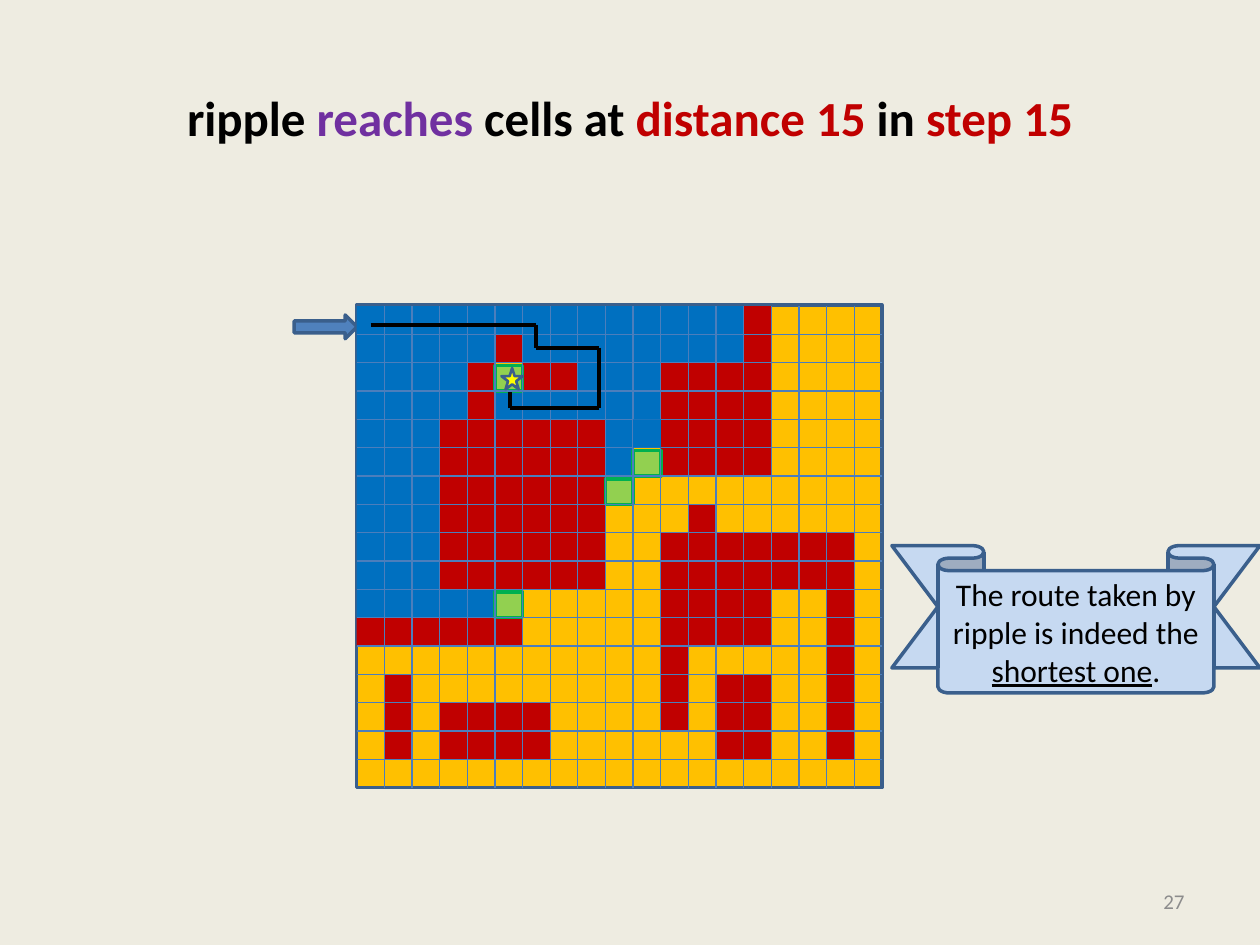
from itertools import pairwise

from lxml import etree
from pptx import Presentation
from pptx import util as u
from pptx.dml.color import RGBColor
from pptx.enum import shapes, text
from pptx.oxml.ns import qn

BLACK, RED, PURPLE = "000000", "C00000", "7030A0"
BLUE, AMBER, OUTLINE = "0070C0", "FFC000", "3A5F8C"
PRESET = shapes.MSO_SHAPE

# Board geometry in cm: 19 columns by 17 rows
LEFT, TOP, WIDTH, HEIGHT = 7.19, 6.17, 10.59, 9.71
COLS, ROWS = 19, 17
CELL_W, CELL_H = WIDTH / COLS, HEIGHT / ROWS

# Blocks of cells: column, row, columns wide, rows high
OBSTACLES = [
    (11, 2, 4, 4), (11, 8, 4, 4), (3, 14, 4, 2), (13, 13, 2, 3), (6, 2, 2, 1),
    (0, 11, 6, 1), (1, 13, 1, 3), (11, 12, 1, 3), (4, 2, 1, 3), (5, 1, 1, 1),
    (3, 4, 6, 6), (14, 0, 1, 3), (14, 8, 4, 2), (17, 10, 1, 6), (12, 7, 1, 1),
]
RIPPLE = [
    (0, 0, 3, 6), (0, 2, 1, 1), (2, 0, 1, 1), (0, 10, 5, 1), (3, 0, 1, 4),
    (0, 5.5, 1, 2.5), (4, 0, 10, 1), (4, 1, 1, 1), (1, 6, 1, 1), (6, 1, 1, 1),
    (2, 6, 1, 1), (1, 7, 1, 1), (0, 7.5, 1, 2.5), (7, 1, 1, 1), (8, 1, 6, 1),
    (2, 7, 1, 2), (1, 8, 2, 2), (8, 2, 3, 1), (5, 3, 6, 1), (9, 4, 1, 2),
]
LAST_RIPPLE = (10, 4, 1, 1)
FRONTIER = [(5, 10), (5, 2), (10, 5), (9, 6)]
ROUTE = [(7.47, 6.55), (10.8, 6.55), (10.8, 7.01), (12.07, 7.01),
         (12.07, 8.23), (10.29, 8.23), (10.29, 7.9)]


def color(value):
    return RGBColor.from_string(value)


class Deck:
    font = "Calibri"

    def __init__(self):
        self.prs = Presentation()
        self.prs.slide_width, self.prs.slide_height = u.Cm(25.4), u.Cm(19.05)
        self.slide = self.prs.slides.add_slide(self.prs.slide_layouts[6])
        background = self.slide.background.fill
        background.solid()
        background.fore_color.rgb = color("EEECE1")

    def group(self):
        return self.slide.shapes.add_group_shape()

    def shape(self, preset, box, fill, outline=None, weight=2, parent=None):
        shape = (parent or self.slide).shapes.add_shape(preset, *map(u.Cm, box))
        shape.shadow.inherit = False
        shape.fill.solid()
        shape.fill.fore_color.rgb = color(fill)
        if outline:
            shape.line.color.rgb = color(outline)
            shape.line.width = u.Pt(weight)
        else:
            shape.line.fill.background()
        return shape

    def block(self, cells, fill, outline=None, parent=None):
        col, row, wide, high = cells
        box = (LEFT + col * CELL_W, TOP + row * CELL_H, wide * CELL_W, high * CELL_H)
        return self.shape(PRESET.RECTANGLE, box, fill, outline, parent=parent)

    def line(self, start, end, stroke, weight, parent):
        line = parent.shapes.add_connector(
            shapes.MSO_CONNECTOR.STRAIGHT, *map(u.Cm, (*start, *end)))
        line.line.color.rgb = color(stroke)
        line.line.width = u.Pt(weight)
        etree.SubElement(line._element.spPr, qn("a:effectLst"))

    def label(self, frame, parts, size, align, bold=False):
        """Each part is (words, colour, underlined)."""
        frame.word_wrap = True
        frame.vertical_anchor = text.MSO_ANCHOR.MIDDLE
        paragraph = frame.paragraphs[0]
        paragraph.alignment = align
        for words, ink, underlined in parts:
            run = paragraph.add_run()
            run.text = words
            run.font.name, run.font.size = self.font, u.Pt(size)
            run.font.bold, run.font.underline = bold, underlined
            run.font.color.rgb = color(ink)

    def textbox(self, box, parts, size, align, bold=False):
        frame = self.slide.shapes.add_textbox(*map(u.Cm, box)).text_frame
        self.label(frame, parts, size, align, bold)


def main():
    deck = Deck()

    # Board, title and page number
    deck.shape(PRESET.RECTANGLE, (LEFT, 6.15, WIDTH, 9.73), AMBER, OUTLINE)
    title = [("ripple ", BLACK, False), ("reaches ", PURPLE, False),
             ("cells at ", BLACK, False), ("distance 15 ", RED, False),
             ("in ", BLACK, False), ("step 15", RED, False)]
    deck.textbox((1.27, 0.76, 22.86, 3.18), title, 28, text.PP_ALIGN.CENTER, True)
    deck.textbox((18.2, 17.65, 5.93, 1.02), [("27", "8C8C8C", False)], 12,
                 text.PP_ALIGN.RIGHT)

    # Entrance
    deck.shape(PRESET.RIGHT_ARROW, (5.93, 6.35, 1.27, 0.48), "4F81BD", OUTLINE)

    # Obstacles, flooded cells and the ripple's frontier
    obstacles = deck.group()
    for cells in OBSTACLES:
        deck.block(cells, RED, parent=obstacles)
    for cells in RIPPLE:
        deck.block(cells, BLUE)
    for col, row in FRONTIER:
        deck.block((col, row + 0.1, 1, 0.9), "92D050", "00B050")

    # Grid lines
    grid = deck.group()
    for col in range(1, COLS):
        x = LEFT + col * CELL_W
        deck.line((x, TOP), (x, TOP + HEIGHT), "4B7EBC", 0.75, grid)
    for row in range(1, ROWS):
        y = TOP + row * CELL_H
        deck.line((LEFT, y), (LEFT + WIDTH, y), "4B7EBC", 0.75, grid)
    deck.block(LAST_RIPPLE, BLUE)

    # Target and the route to it
    deck.shape(PRESET.STAR_5_POINT, (10.11, 7.42, 0.43, 0.43), "FFFF00", OUTLINE, 1.5)
    route = deck.group()
    for start, end in pairwise(ROUTE):
        deck.line(start, end, BLACK, 2.25, route)

    # Conclusion
    ribbon = deck.shape(PRESET.DOWN_RIBBON, (17.98, 11, 7.42, 2.97), "C6D9F1", OUTLINE)
    ribbon.adjustments[0], ribbon.adjustments[1] = 0.17, 0.75
    conclusion = [("The route taken by ripple is indeed the ", BLACK, False),
                  ("shortest one", BLACK, True), (".", BLACK, False)]
    deck.label(ribbon.text_frame, conclusion, 18, text.PP_ALIGN.CENTER)

    deck.prs.save("out.pptx")


if __name__ == "__main__":
    main()
